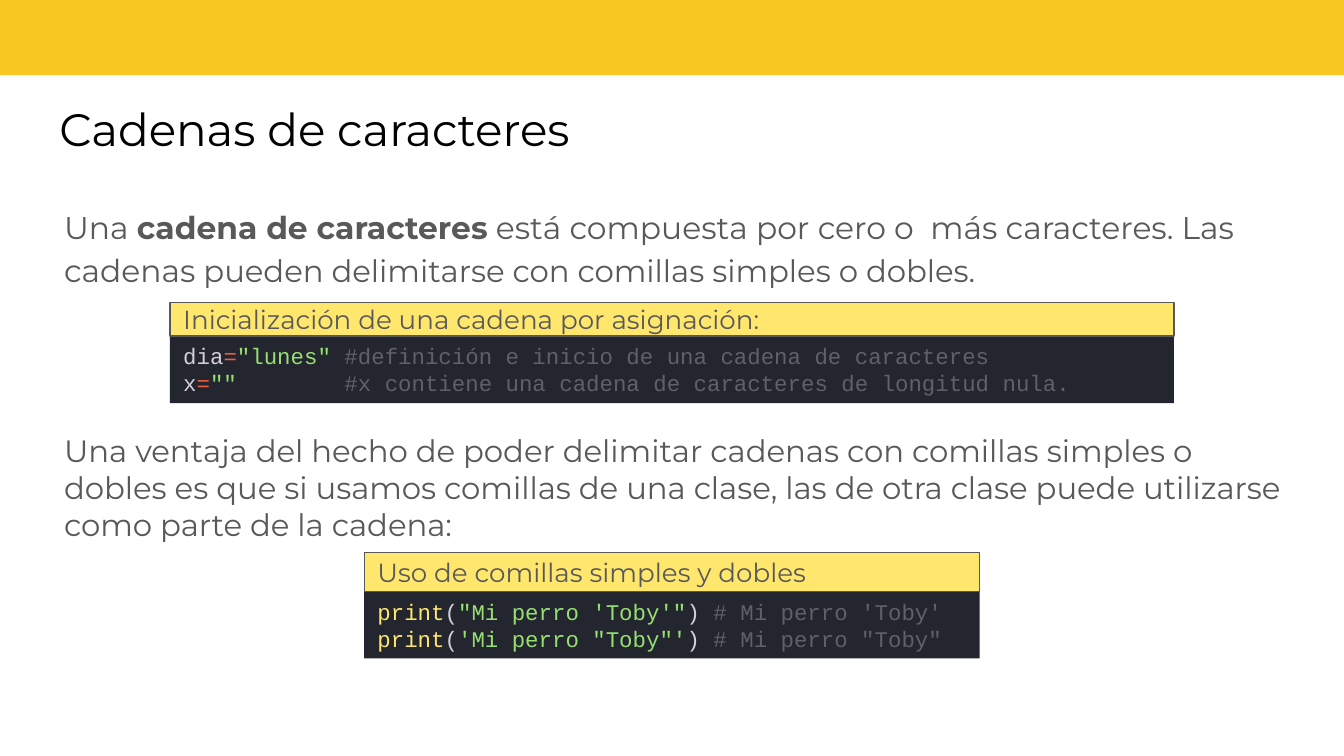
from pptx import Presentation
from pptx.dml.color import RGBColor
from pptx.enum.shapes import MSO_SHAPE
from pptx.enum.text import MSO_ANCHOR, PP_ALIGN
from pptx.util import Inches, Pt

BLACK = RGBColor(0x00, 0x00, 0x00)
GRAY = RGBColor(0x59, 0x59, 0x59)
BANNER = RGBColor(0xF8, 0xC8, 0x23)
YELLOW = RGBColor(0xFF, 0xE6, 0x6D)
NIGHT = RGBColor(0x23, 0x26, 0x2E)
PLAIN = RGBColor(0xD5, 0xCE, 0xD9)
OPERATOR = RGBColor(0xEE, 0x5D, 0x43)
STRING = RGBColor(0x96, 0xE0, 0x72)
COMMENT = RGBColor(0x5F, 0x61, 0x67)

# Square grid: 100 columns by 56.25 rows (16:9)
CELL = Inches(0.1)
COLUMNS, ROWS = 100, 56.25
BODY_LEFT, BODY_WIDTH = 4.77, 90.6
CODE_HEIGHT = 5

presentation = Presentation()
presentation.slide_width = int(COLUMNS * CELL)
presentation.slide_height = int(ROWS * CELL)
slide = presentation.slides.add_slide(presentation.slide_layouts[6])


def add_rectangle(left, top, width, height, fill, line=None):
    shape = slide.shapes.add_shape(
        MSO_SHAPE.RECTANGLE, *(int(n * CELL) for n in (left, top, width, height)))
    shape.shadow.inherit = False
    shape.fill.solid()
    shape.fill.fore_color.rgb = fill
    if line is None:
        shape.line.fill.background()
    else:
        shape.line.color.rgb = line
        shape.line.width = Pt(0.75)
    return shape


def write(shape, lines, size, font="Montserrat", color=GRAY, side=1, edge=1,
          anchor=MSO_ANCHOR.TOP, spacing=None):
    """Fill shape with lines of runs; a run is (text, format overrides)."""
    frame = shape.text_frame
    frame.word_wrap = True
    frame.vertical_anchor = anchor
    frame.margin_left = frame.margin_right = int(side * CELL)
    frame.margin_top = frame.margin_bottom = int(edge * CELL)
    for index, runs in enumerate(lines):
        paragraph = frame.add_paragraph() if index else frame.paragraphs[0]
        paragraph.alignment = PP_ALIGN.LEFT
        paragraph.line_spacing = spacing
        for text, override in runs:
            run = paragraph.add_run()
            run.text = text
            run.font.name = font
            run.font.size = Pt(override.get("size", size))
            run.font.bold = override.get("bold", False)
            run.font.color.rgb = override.get("color", color)


add_rectangle(-0.1, -0.5, COLUMNS + 0.3, 6.1, BANNER)

text_boxes = [
    (3.43, 6.5, 93, 6.3, [("Cadenas de caracteres", {})],
     dict(size=24.3, color=BLACK)),
    (BODY_LEFT, 14.03, BODY_WIDTH, 35.8,
     [("Una ", {}),
      ("cadena de caracteres", {"bold": True}),
      (" está compuesta por cero o  más caracteres. Las cadenas", {}),
      (" pueden delimitarse con comillas simples o dobles.", {"size": 16.5})],
     dict(size=16.8, side=0, spacing=1.15)),
    (BODY_LEFT, 31.1, BODY_WIDTH, 9.5,
     [("Una ventaja del hecho de poder delimitar cadenas con comillas simples o "
       "dobles es que si usamos comillas de una clase, las de otra clase puede "
       "utilizarse como parte de la cadena:", {})],
     dict(size=16.5, side=0)),
]
for left, top, width, height, runs, text_format in text_boxes:
    box = slide.shapes.add_textbox(
        *(int(n * CELL) for n in (left, top, width, height)))
    write(box, [runs], **text_format)

# Code panels, centred on the slide: top, width, caption height, caption, code
code_panels = [
    (22.5, 74.7, 2.5, "Inicialización de una cadena por asignación:", [
        [("dia", PLAIN), ("=", OPERATOR), ('"lunes" ', STRING),
         ("#definición e inicio de una cadena de caracteres", COMMENT)],
        [("x", PLAIN), ("=", OPERATOR), ('""        ', STRING),
         ("#x contiene una cadena de caracteres de longitud nula.", COMMENT)],
    ]),
    (41.1, 45.8, 2.9, "Uso de comillas simples y dobles", [
        [("print", YELLOW), ("(", PLAIN), (text, STRING), (") ", PLAIN),
         (f"# {text[1:-1]}", COMMENT)]
        for text in ('"Mi perro \'Toby\'"', "'Mi perro \"Toby\"'")
    ]),
]
for top, width, caption_height, caption, code in code_panels:
    left = (COLUMNS - width) / 2
    panel = add_rectangle(left, top + caption_height, width, CODE_HEIGHT, NIGHT)
    code_lines = [[(text, {"color": color}) for text, color in line] for line in code]
    write(panel, code_lines, size=12, font="Courier New", edge=0.5)
    header = add_rectangle(left, top, width, caption_height, YELLOW, line=GRAY)
    write(header, [[(caption, {})]], size=14, edge=0.5, anchor=MSO_ANCHOR.MIDDLE)

presentation.save("out.pptx")
